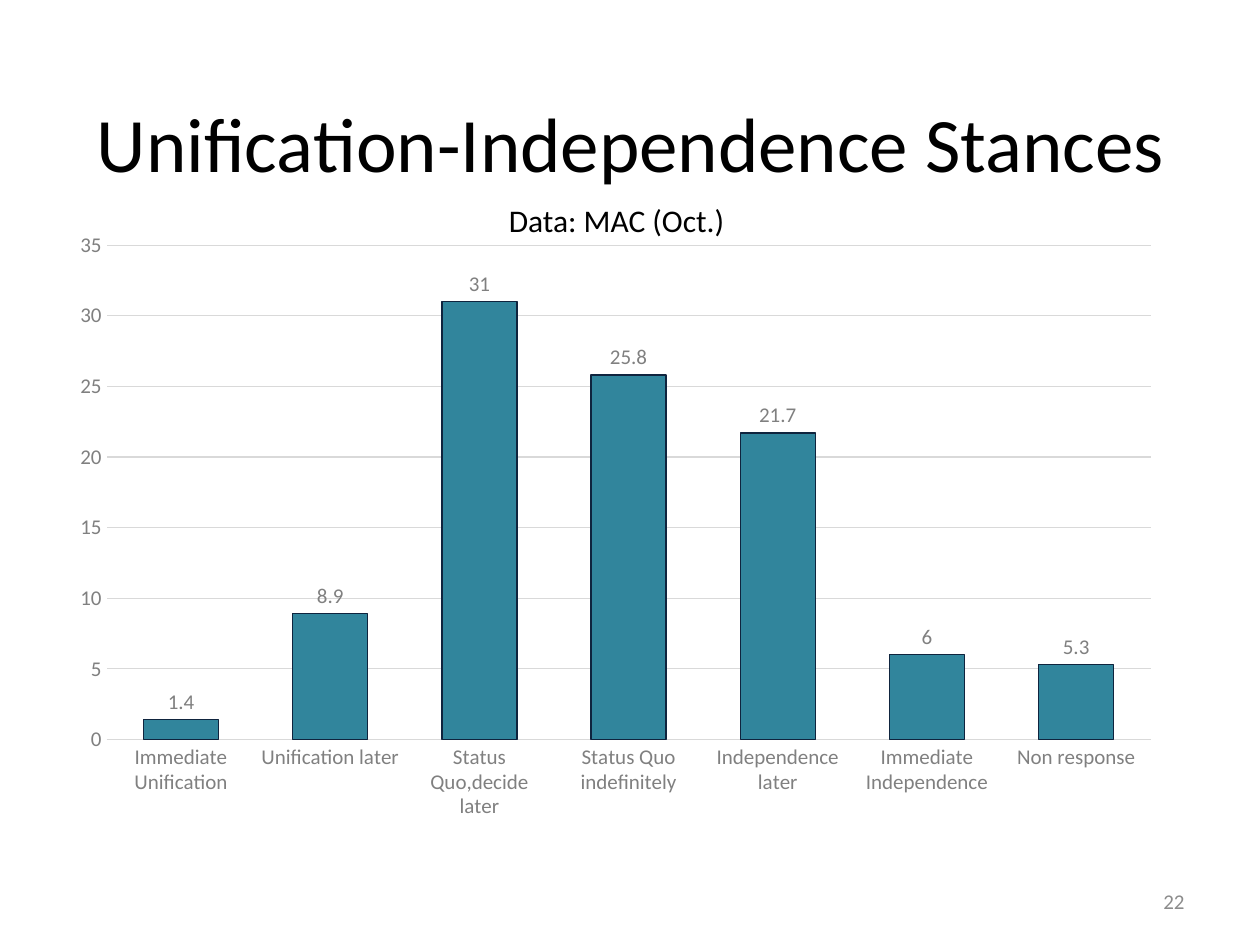
import pptx
import pptx.chart.data
import pptx.dml.color
import pptx.enum.chart
import pptx.enum.text
import pptx.util

RGBColor = pptx.dml.color.RGBColor
BLACK = RGBColor(0x00, 0x00, 0x00)
GRAY = RGBColor(0x80, 0x80, 0x80)
NUMBER_GRAY = RGBColor(0x8C, 0x8C, 0x8C)
GRID_GRAY = RGBColor(0xD9, 0xD9, 0xD9)
TEAL = RGBColor(0x31, 0x85, 0x9C)
NAVY = RGBColor(0x0F, 0x24, 0x3E)

ALIGN = pptx.enum.text.PP_ALIGN
ANCHOR = pptx.enum.text.MSO_ANCHOR
XL = pptx.enum.chart

STANCES = {
    "Immediate Unification": 1.4,
    "Unification later": 8.9,
    "Status Quo,decide later": 31,
    "Status Quo indefinitely": 25.8,
    "Independence later": 21.7,
    "Immediate Independence": 6,
    "Non response": 5.3,
}


class Deck:
    """Holds the style and the current slide; boxes are in grid units of one inch."""

    FONT = "Calibri"
    COLS, ROWS = 10, 7.5

    def __init__(self):
        self.prs = pptx.Presentation()
        self.prs.slide_width = pptx.util.Inches(self.COLS)
        self.prs.slide_height = pptx.util.Inches(self.ROWS)
        self.s = self.prs.slides.add_slide(self.prs.slide_layouts[6])

    def box(self, col, row, cols, rows):
        x, y = self.prs.slide_width / self.COLS, self.prs.slide_height / self.ROWS
        return [round(v) for v in (col * x, row * y, cols * x, rows * y)]

    def style(self, font, size, color):
        font.name = self.FONT
        font.size = pptx.util.Pt(size)
        font.color.rgb = color

    def line(self, line, color):
        line.color.rgb = color
        line.width = pptx.util.Pt(0.75)

    def text(self, text, at, size, color, align=ALIGN.LEFT,
             anchor=ANCHOR.MIDDLE, wrap=True):
        sp = self.s.shapes.add_textbox(*self.box(*at))
        tf = sp.text_frame
        tf.word_wrap = wrap
        tf.vertical_anchor = anchor
        p = tf.paragraphs[0]
        p.alignment = align
        r = p.add_run()
        r.text = text
        self.style(r.font, size, color)

    def columns(self, values, at):
        data = pptx.chart.data.CategoryChartData()
        data.categories = list(values)
        data.add_series("Series 1", list(values.values()))
        chart = self.s.shapes.add_chart(
            XL.XL_CHART_TYPE.COLUMN_CLUSTERED, *self.box(*at), data).chart
        self.style(chart.font, 10, BLACK)
        chart.has_legend = False
        chart.has_title = False

        # Axes
        for axis in (chart.category_axis, chart.value_axis):
            axis.major_tick_mark = axis.minor_tick_mark = XL.XL_TICK_MARK.NONE
            self.style(axis.tick_labels.font, 12, GRAY)
        self.line(chart.category_axis.format.line, GRID_GRAY)
        axis = chart.value_axis
        axis.minimum_scale, axis.maximum_scale, axis.major_unit = 0, 35, 5
        axis.format.line.fill.background()
        axis.has_major_gridlines = True
        self.line(axis.major_gridlines.format.line, GRID_GRAY)

        # Columns and their values
        plot = chart.plots[0]
        plot.gap_width, plot.overlap = 99, -24
        plot.vary_by_categories = False
        series = plot.series[0]
        series.format.fill.solid()
        series.format.fill.fore_color.rgb = TEAL
        self.line(series.format.line, NAVY)
        labels = series.data_labels
        labels.show_value = True
        labels.position = XL.XL_LABEL_POSITION.OUTSIDE_END
        self.style(labels.font, 12, GRAY)


def main():
    deck = Deck()
    # Title
    deck.text("Unification-Independence Stances", (0.46, 0.4, 9.1, 1.45),
              44, BLACK, ALIGN.CENTER)
    # Survey results
    deck.columns(STANCES, (0.46, 1.75, 8.85, 4.85))
    # Slide number
    deck.text("22", (7.17, 6.95, 2.33, 0.4), 12, NUMBER_GRAY, ALIGN.RIGHT)
    # Data source
    deck.text("Data: MAC (Oct.)", (3.94, 1.55, 1.94, 0.4), 18, BLACK,
              anchor=ANCHOR.TOP, wrap=False)
    deck.prs.save("out.pptx")


if __name__ == "__main__":
    main()
